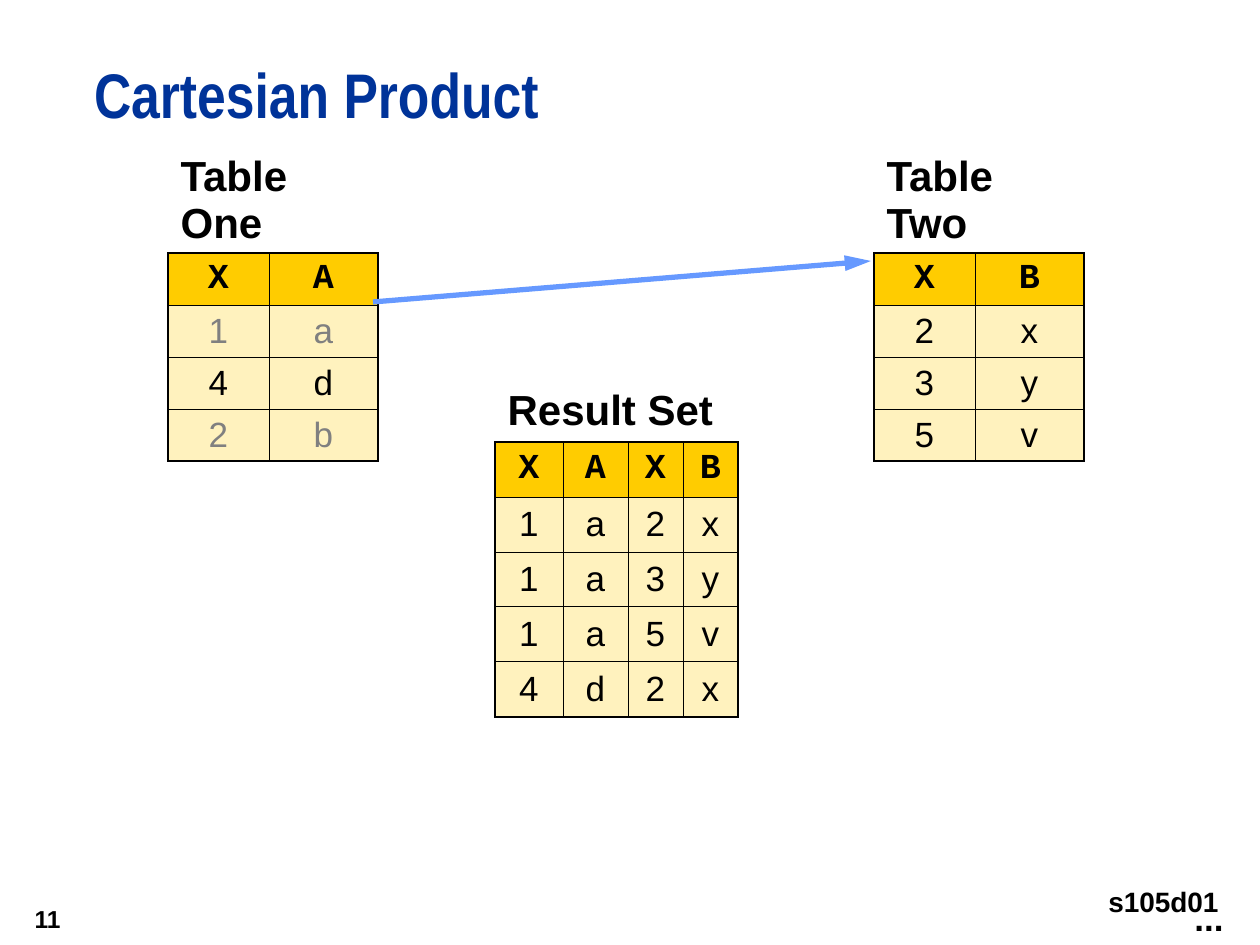
from dataclasses import dataclass

from lxml import etree
from pptx import Presentation
from pptx import util as u
from pptx.dml.color import RGBColor
from pptx.enum import shapes, text
from pptx.oxml.ns import qn

PX = 914400 // 126
BLACK, GREY, NAVY, BLUE = "000000", "808080", "003399", "6699FF"
HEAD_FILL, BODY_FILL = "FFCC00", "FFF2BE"
THICK, THIN = 1.08, 0.45
NO_STYLE = "{2D5ABB26-0587-4C30-8999-92F81FD0307C}"


@dataclass
class DataTable:
    title: str
    left: int
    top: int
    widths: list[int]
    heights: list[int]
    rows: list[str]  # header first, one letter per cell
    muted: tuple[int, ...] = ()


@dataclass
class Label:
    words: str
    box: tuple[int, int, int, int]
    size: int
    align: text.PP_ALIGN = text.PP_ALIGN.LEFT
    anchor: text.MSO_ANCHOR = text.MSO_ANCHOR.TOP
    fit: text.MSO_AUTO_SIZE = text.MSO_AUTO_SIZE.SHAPE_TO_FIT_TEXT
    inset: int = 6


TABLES = [
    DataTable("Table One", 168, 147, [101, 109], [50, 42, 42, 42, 44],
              ["XA", "1a", "4d", "2b"], muted=(1, 3)),
    DataTable("Table Two", 874, 147, [101, 109], [50, 43, 43, 43, 43],
              ["XB", "2x", "3y", "5v"]),
    DataTable("Result Set", 495, 379, [68, 65, 55, 55], [63] + [55] * 5,
              ["XAXB", "1a2x", "1a3y", "1a5v", "4d2x"]),
]
LABELS = [
    Label("11", (0, 892, 73, 53), 14, text.PP_ALIGN.RIGHT,
          text.MSO_ANCHOR.MIDDLE, text.MSO_AUTO_SIZE.NONE),
    Label("...", (1182, 890, 54, 55), 20),
    Label("s105d01", (1086, 872, 145, 58), 16, text.PP_ALIGN.RIGHT, inset=13),
]


def px(length: int) -> u.Emu:
    return u.Emu(length * PX)


def color(value: str) -> RGBColor:
    return RGBColor.from_string(value)


def apply(target, values: dict) -> None:
    for name, value in values.items():
        setattr(target, name, value)


def write(frame, words: str, size: int, hue: str = BLACK, name: str = "Arial",
          bold: bool = True, **layout) -> None:
    para = frame.paragraphs[0]
    apply(para, layout)
    span = para.add_run()
    span.text = words
    apply(span.font, {"size": u.Pt(size), "name": name, "bold": bold})
    span.font.color.rgb = color(hue)


def set_borders(cell, **widths: float) -> None:
    props = cell._tc.get_or_add_tcPr()
    for side, width in widths.items():
        line = etree.SubElement(props, qn(f"a:ln{side}"), w=str(u.Pt(width)))
        fill = etree.SubElement(line, qn("a:solidFill"))
        etree.SubElement(fill, qn("a:srgbClr"), val=BLACK)


def draw_table(page, data: DataTable) -> None:
    shape = page.shapes.add_table(
        len(data.heights), len(data.widths), px(data.left), px(data.top),
        px(sum(data.widths)), px(sum(data.heights)))
    table = shape.table
    apply(table, {"first_row": False, "horz_banding": False})
    table._tbl.tblPr.find(qn("a:tableStyleId")).text = NO_STYLE
    for column, width in zip(table.columns, data.widths):
        column.width = px(width)
    for row, height in zip(table.rows, data.heights):
        row.height = px(height)

    # Title across the whole first row
    last_row, last_col = len(data.rows) - 1, len(data.widths) - 1
    title = table.cell(0, 0)
    title.merge(table.cell(0, last_col))
    title.vertical_anchor = text.MSO_ANCHOR.MIDDLE
    write(title.text_frame, data.title, 24)
    for c in range(last_col + 1):
        set_borders(table.cell(0, c), B=THICK)

    # Header and body cells, with a thick outer edge
    for r, letters in enumerate(data.rows):
        header = r == 0
        for c, letter in enumerate(letters):
            cell = table.cell(r + 1, c)
            set_borders(cell, L=THIN if c else THICK,
                        R=THICK if c == last_col else THIN,
                        T=THICK if header else THIN,
                        B=THICK if r == last_row else THIN)
            cell.fill.solid()
            cell.fill.fore_color.rgb = color(HEAD_FILL if header else BODY_FILL)
            cell.vertical_anchor = text.MSO_ANCHOR.MIDDLE
            write(cell.text_frame, letter, 20, GREY if r in data.muted else BLACK,
                  "Courier New" if header else "Arial", header,
                  alignment=text.PP_ALIGN.CENTER)


def draw_label(page, label: Label) -> None:
    frame = page.shapes.add_textbox(*map(px, label.box)).text_frame
    apply(frame, {"word_wrap": False, "auto_size": label.fit,
                  "vertical_anchor": label.anchor,
                  "margin_top": px(label.inset), "margin_bottom": px(label.inset)})
    write(frame, label.words, label.size, alignment=label.align)


def draw_arrow(page, *ends: int) -> None:
    arrow = page.shapes.add_connector(shapes.MSO_CONNECTOR.STRAIGHT, *map(px, ends))
    arrow.line.width = u.Pt(3)
    arrow.line.color.rgb = color(BLUE)
    etree.SubElement(arrow.line._get_or_add_ln(), qn("a:tailEnd"),
                     type="triangle", w="med", len="lg")
    etree.SubElement(arrow._element.spPr, qn("a:effectLst"))


def draw_title(page, words: str) -> None:
    title = page.shapes.title
    apply(title, {"left": px(94), "top": px(63), "width": px(1166), "height": px(94)})
    margins = {f"margin_{side}": 0 for side in ("left", "top", "right", "bottom")}
    apply(title.text_frame, {**margins, "word_wrap": True,
                             "auto_size": text.MSO_AUTO_SIZE.NONE,
                             "vertical_anchor": text.MSO_ANCHOR.TOP})
    write(title.text_frame, words, 36, NAVY, "Arial Narrow",
          alignment=text.PP_ALIGN.LEFT, line_spacing=u.Pt(39))


def main() -> None:
    deck = Presentation()
    apply(deck, {"slide_width": px(1260), "slide_height": px(945)})
    page = deck.slides.add_slide(deck.slide_layouts[5])
    draw_title(page, "Cartesian Product")
    for data in TABLES:
        draw_table(page, data)
    for label in LABELS:
        draw_label(page, label)
    draw_arrow(page, 373, 302, 871, 261)
    deck.save("out.pptx")


if __name__ == "__main__":
    main()
